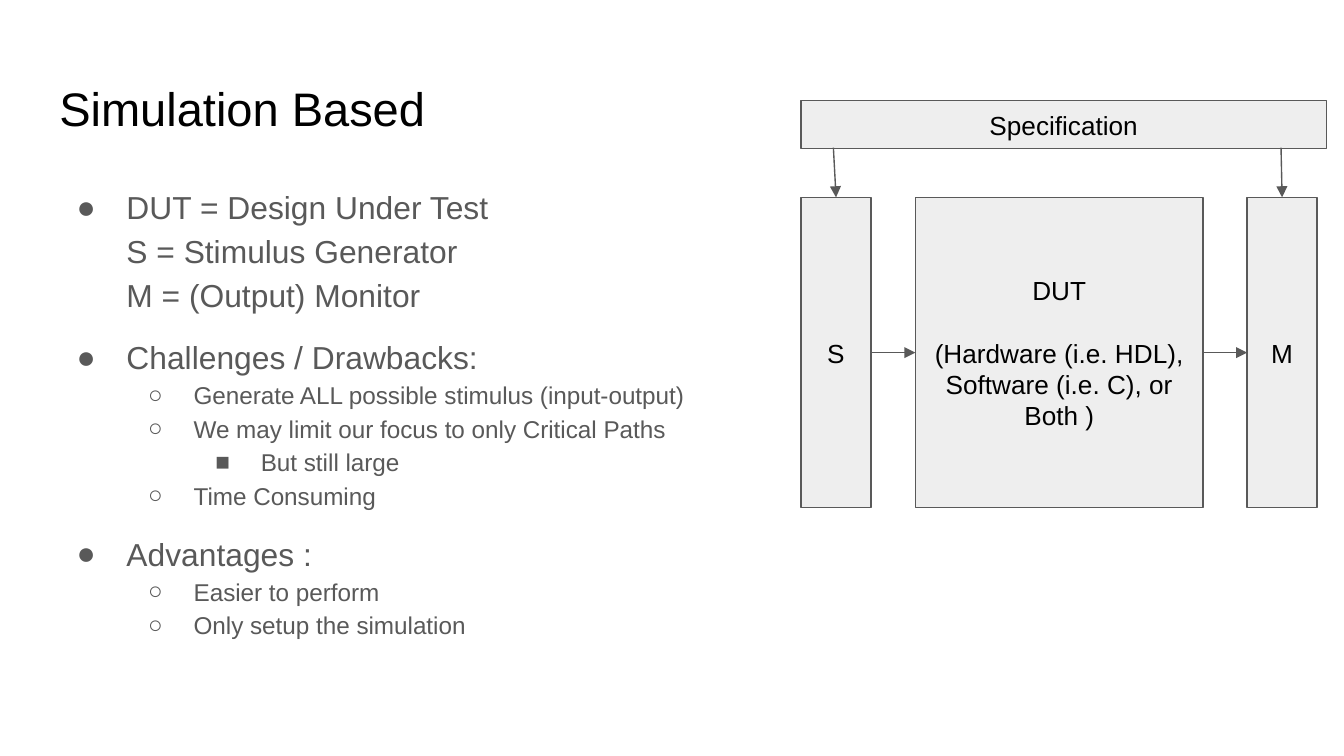
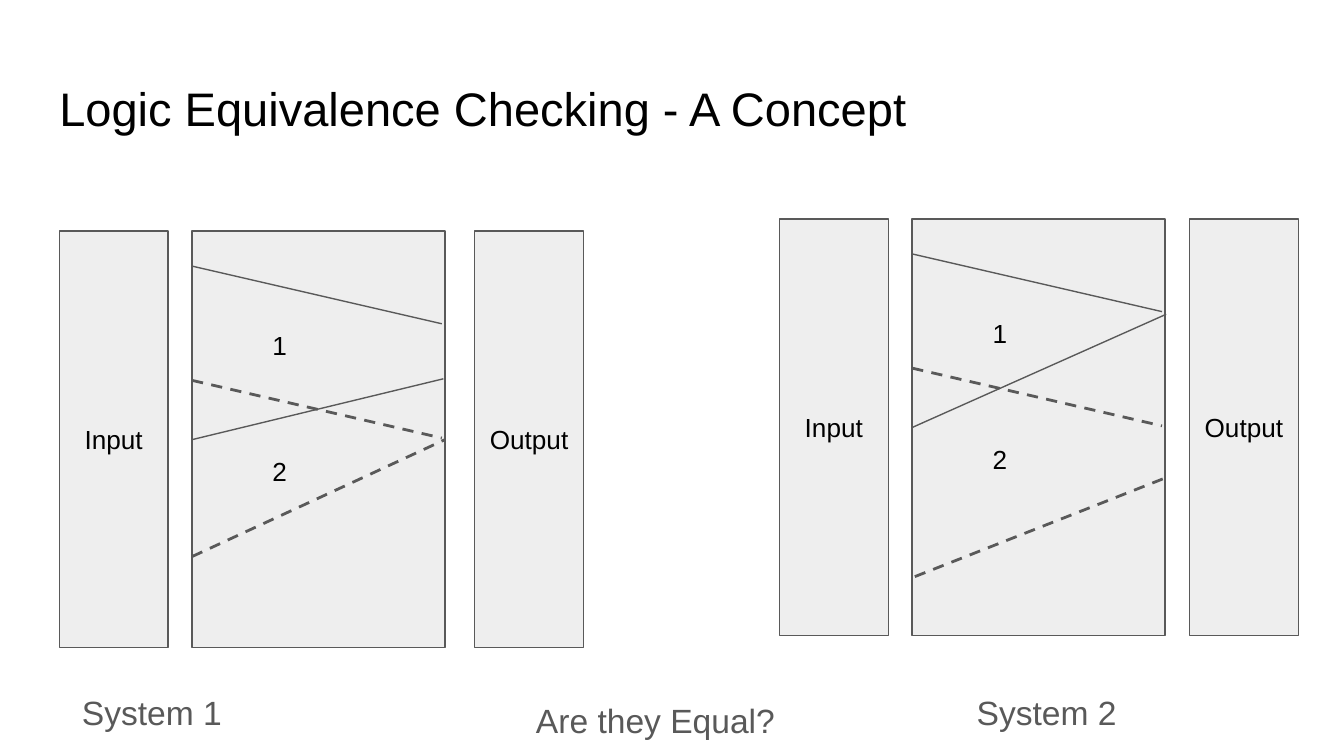
from lxml import etree
from pptx import Presentation
from pptx import util as u
from pptx.dml.color import RGBColor
from pptx.enum import dml, shapes, text
from pptx.oxml.ns import qn

# Content (lengths in cm, sizes in points)
FONT, INK, GREY, PALE = "Arial", "000000", "595959", "EEEEEE"
TITLES = ["Simulation Based", "Logic Equivalence Checking - A Concept"]
TITLE_BOX = (0.87, 1.24, 23.67, 1.59)
BODY_BOX = (0.87, 3.2, 12.7, 11.08)

# Level, bullet, space before, text
NOTES = [
    (0, "●", 0, "DUT = Design Under Test"),
    (0, "", 0, "S = Stimulus Generator"),
    (0, "", 0, "M = (Output) Monitor"),
    (0, "●", 10, "Challenges / Drawbacks:"),
    (1, "○", 0, "Generate ALL possible stimulus (input-output)"),
    (1, "○", 0, "We may limit our focus to only Critical Paths"),
    (2, "■", 0, "But still large"),
    (1, "○", 0, "Time Consuming"),
    (0, "●", 10, "Advantages :"),
    (1, "○", 0, "Easier to perform"),
    (1, "○", 0, "Only setup the simulation"),
]

# Test bench: left and width of each stage, in flow order
STAGES = [
    (15.14, 1.32, ["S"]),
    (17.3, 5.44, ["DUT", "(Hardware (i.e. HDL), Software (i.e. C), or Both )"]),
    (23.57, 1.32, ["M"]),
]
STAGE_TOP, STAGE_H = 3.73, 5.87
SPEC_BOX = (15.14, 1.9, 9.93, 0.91)
FEEDS = [15.75, 24.21]

# Systems: left, top, offset of the output, and paths within the core
# Path: x1, y1, x2, y2, dashed
SHARED = [(0, 0.66, 4.72, 1.75, False), (0, 2.82, 4.72, 3.91, True)]
SYSTEMS = [
    (1.12, 4.37, 7.85, [(0, 3.94, 4.75, 2.79, False), (0, 6.15, 4.78, 3.94, True)]),
    (14.73, 4.14, 7.75, [(0, 3.94, 4.8, 1.8, False), (0.05, 6.76, 4.77, 4.9, True)]),
]
PORT_W, CORE_DX, CORE_W, SYS_H = 2.06, 2.51, 4.78, 7.87
CAPTIONS = [
    ("System 1", 1.3, 12.83, 3.61),
    ("System 2", 18.21, 12.83, 3.61),
    ("Are they Equal?", 9.88, 12.98, 6.12),
]


# Helpers
def rgb(code):
    return RGBColor.from_string(code)


def place(shape, box):
    shape.left, shape.top, shape.width, shape.height = map(u.Cm, box)


def setup(shape, anchor):
    frame = shape.text_frame
    frame.word_wrap = True
    frame.auto_size = text.MSO_AUTO_SIZE.NONE
    frame.vertical_anchor = anchor
    frame.margin_left = frame.margin_right = u.Cm(0.25)
    frame.margin_top = frame.margin_bottom = u.Cm(0.25)
    return frame


def write(frame, lines, size, color, align=text.PP_ALIGN.LEFT):
    for i, line in enumerate(lines):
        para = frame.add_paragraph() if i else frame.paragraphs[0]
        para.text = line
        para.alignment = align
        font = para.font
        font.name, font.size = FONT, u.Pt(size)
        font.color.rgb = rgb(color)
    return frame.paragraphs


def indent(para, left, first):
    props = para._p.get_or_add_pPr()
    props.set("marL", str(u.Cm(left)))
    props.set("indent", str(u.Cm(first)))
    return props


def bullet(props, mark):
    # Bullet marks come before the default run properties
    last = props.find(qn("a:defRPr"))
    parts = []
    if mark:
        tint = etree.Element(qn("a:buClr"))
        etree.SubElement(tint, qn("a:srgbClr"), val=GREY)
        parts = [tint, etree.Element(qn("a:buFont"), typeface=FONT),
                 etree.Element(qn("a:buChar"), char=mark)]
    else:
        parts = [etree.Element(qn("a:buNone"))]
    for part in parts:
        if last is None:
            props.append(part)
        else:
            last.addprevious(part)


def block(slide, box, lines=()):
    rect = slide.shapes.add_shape(shapes.MSO_SHAPE.RECTANGLE, *map(u.Cm, box))
    rect.shadow.inherit = False
    rect.fill.solid()
    rect.fill.fore_color.rgb = rgb(PALE)
    rect.line.color.rgb = rgb(GREY)
    rect.line.width = u.Pt(0.75)
    frame = setup(rect, text.MSO_ANCHOR.MIDDLE)
    write(frame, lines, 14, INK, text.PP_ALIGN.CENTER)
    return rect


def link(slide, ends, dashed=False, arrow=False):
    line = slide.shapes.add_connector(shapes.MSO_CONNECTOR.STRAIGHT, *map(u.Cm, ends))
    line.line.color.rgb = rgb(GREY)
    line.line.width = u.Pt(1.5 if dashed else 0.75)
    if dashed:
        line.line.dash_style = dml.MSO_LINE.DASH
    props = line._element.spPr
    if arrow:
        etree.SubElement(props.find(qn("a:ln")), qn("a:tailEnd"), type="triangle")
    etree.SubElement(props, qn("a:effectLst"))
    return line


def start(deck, layout, title):
    slide = deck.slides.add_slide(deck.slide_layouts[layout])
    head = slide.shapes.title
    place(head, TITLE_BOX)
    write(setup(head, text.MSO_ANCHOR.MIDDLE), [title], 25.2, INK)
    return slide


# Slide 1: notes beside the test bench
def bench(deck):
    slide = start(deck, 1, TITLES[0])
    body = slide.placeholders[1]
    place(body, BODY_BOX)
    frame = setup(body, text.MSO_ANCHOR.TOP)
    paras = write(frame, [note[3] for note in NOTES], 17, GREY)
    for para, (level, mark, gap, _) in zip(paras, NOTES):
        para.level = level
        para.line_spacing = 1.15
        para.space_before = u.Pt(gap)
        if level:
            para.font.size = u.Pt(13)
        hang = (-0.86 if level else -0.94) if mark else 0
        bullet(indent(para, 1.27 * (level + 1), hang), mark)

    stages = [block(slide, (left, STAGE_TOP, width, STAGE_H), lines)
              for left, width, lines in STAGES]
    stages[1].text_frame.paragraphs[0].space_after = u.Pt(16.9)
    block(slide, SPEC_BOX, ["Specification"])

    for x, stage in zip(FEEDS, (stages[0], stages[-1])):
        link(slide, (x, 2.79, x, STAGE_TOP), arrow=True).end_connect(stage, 0)
    for src, dest in zip(stages, stages[1:]):
        flow = link(slide, (0, 0, 1, 1), arrow=True)
        flow.begin_connect(src, 3)
        flow.end_connect(dest, 1)


# Slide 2: two systems to compare
def compare(deck):
    slide = start(deck, 5, TITLES[1])
    for left, top, out, paths in SYSTEMS:
        block(slide, (left, top, PORT_W, SYS_H), ["Input"])
        block(slide, (left + out, top, PORT_W, SYS_H), ["Output"])
        x = left + CORE_DX
        core = block(slide, (x, top, CORE_W, SYS_H))
        frame = core.text_frame
        frame.margin_bottom = u.Cm(1.44)
        paras = write(frame, ["1", "2"], 14, INK)
        for para in paras:
            indent(para, 0, 1.27)
        paras[1].space_before = u.Pt(50.6)
        for x1, y1, x2, y2, dashed in SHARED + paths:
            link(slide, (x + x1, top + y1, x + x2, top + y2), dashed)

    for label, left, top, width in CAPTIONS:
        box = slide.shapes.add_textbox(*map(u.Cm, (left, top, width, 0.89)))
        write(setup(box, text.MSO_ANCHOR.TOP), [label], 18, GREY)


def main():
    deck = Presentation()
    deck.slide_width, deck.slide_height = u.Cm(25.4), u.Cm(14.29)
    bench(deck)
    compare(deck)
    deck.save("out.pptx")


if __name__ == "__main__":
    main()
